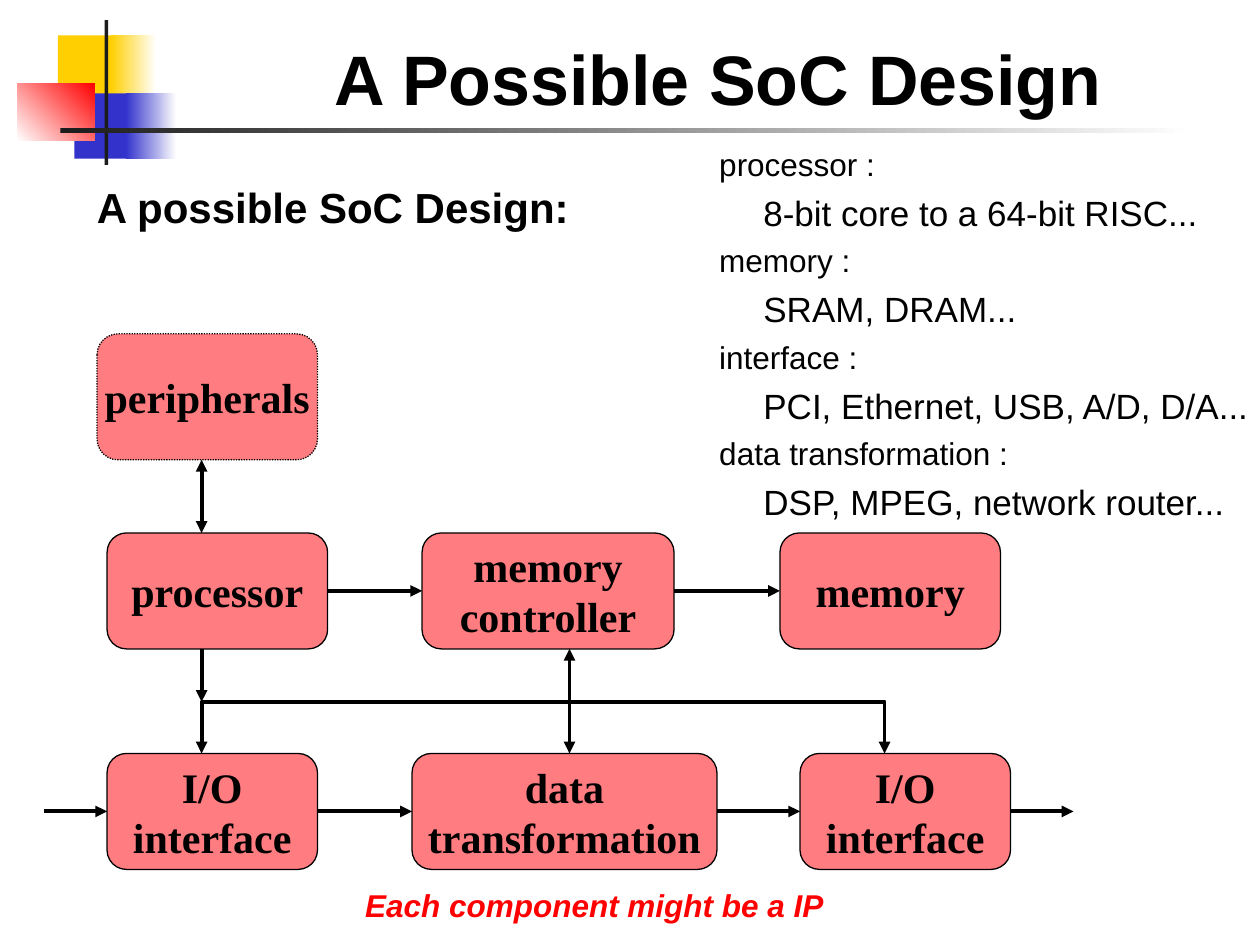
"""Build the slide that shows a possible SoC design as a block diagram."""
import pptx
import pptx.dml.color
import pptx.enum.dml
import pptx.enum.shapes
import pptx.enum.text
import pptx.oxml.ns
import pptx.util
from lxml import etree

Inches = pptx.util.Inches
Pt = pptx.util.Pt
SHAPE = pptx.enum.shapes.MSO_SHAPE
TOP, LEFT, BOTTOM, RIGHT = range(4)

COLORS = {
    "white": "FFFFFF",
    "black": "000000",
    "charcoal": "1C1C1C",
    "yellow": "FFCF01",
    "blue": "3333CC",
    "red": "FF0000",
    "block": "FF7C80",
}

DECOR = [
    ((0.46, 0.28, 0.48, 0.52), ("yellow",), 0),
    ((0.88, 0.28, 0.36, 0.52), ("yellow", "white"), 0),
    ((0.59, 0.74, 0.46, 0.52), ("blue",), 0),
    ((1, 0.74, 0.4, 0.52), ("blue", "white"), 0),
    ((0.14, 0.66, 0.61, 0.46), ("white", "red"), 45),
    ((0.83, 0.16, 0.03, 1.15), ("charcoal",), 0),
    ((0.48, 1.02, 9, 0.04), ("charcoal", "white"), 0),
]

CPU_TOP, IO_TOP, BLOCK_H = 4.23, 5.98, 0.92
BUS_Y = 5.57
IO_MID = IO_TOP + BLOCK_H / 2
BLOCKS = {
    "processor": ((0.85, CPU_TOP, 1.75, BLOCK_H), ["processor"]),
    "controller": ((3.35, CPU_TOP, 2, BLOCK_H), ["memory", "controller"]),
    "memory": ((6.19, CPU_TOP, 1.75, BLOCK_H), ["memory"]),
    "input": ((0.85, IO_TOP, 1.67, BLOCK_H), ["I/O", "interface"]),
    "data": ((3.27, IO_TOP, 2.42, BLOCK_H), ["data", "transformation"]),
    "output": ((6.35, IO_TOP, 1.67, BLOCK_H), ["I/O", "interface"]),
    "peripherals": ((0.77, 2.65, 1.75, 1), ["peripherals"]),
}
FLOWS = [("processor", "controller"), ("controller", "memory"),
         ("input", "data"), ("data", "output")]

COMPONENTS = [
    ("processor :", "8-bit core to a 64-bit RISC..."),
    ("memory :", "SRAM, DRAM..."),
    ("interface :", "PCI, Ethernet, USB, A/D, D/A..."),
    ("data transformation :", "DSP, MPEG, network router..."),
]


def rgb(name):
    """Return the named colour."""
    return pptx.dml.color.RGBColor.from_string(COLORS[name])


def add_run(p, text, size, font="Arial", color="black", bold=False, italic=False):
    """Append one formatted run to a paragraph."""
    r = p.add_run()
    r.text = text
    r.font.name = font
    r.font.size = Pt(size)
    r.font.bold = bold
    r.font.italic = italic
    r.font.color.rgb = rgb(color)


def add_decor(s, box, colors, angle):
    """Add a borderless rectangle with a plain or gradient fill."""
    sp = s.shapes.add_shape(SHAPE.RECTANGLE, *map(Inches, box))
    sp.shadow.inherit = False
    sp.line.fill.background()
    if len(colors) == 1:
        sp.fill.solid()
        sp.fill.fore_color.rgb = rgb(colors[0])
        return
    sp.fill.gradient()
    sp.fill.gradient_angle = angle
    for position, (stop, color) in enumerate(zip(sp.fill.gradient_stops, colors)):
        stop.position = position
        stop.color.rgb = rgb(color)


def add_label(s, box, text, size, **style):
    """Add a single-line text box."""
    tf = s.shapes.add_textbox(*map(Inches, box)).text_frame
    tf.word_wrap = False
    add_run(tf.paragraphs[0], text, size, **style)


def add_block(s, box, lines):
    """Add a rounded diagram block with centred lines of text."""
    sp = s.shapes.add_shape(SHAPE.ROUNDED_RECTANGLE, *map(Inches, box))
    sp.shadow.inherit = False
    sp.fill.solid()
    sp.fill.fore_color.rgb = rgb("block")
    sp.line.color.rgb = rgb("black")
    sp.line.width = Pt(0.75)
    tf = sp.text_frame
    tf.word_wrap = False
    tf.vertical_anchor = pptx.enum.text.MSO_ANCHOR.MIDDLE
    for i, line in enumerate(lines):
        p = tf.add_paragraph() if i else tf.paragraphs[0]
        p.alignment = pptx.enum.text.PP_ALIGN.CENTER
        add_run(p, line, 24, font="Times New Roman", bold=True)
    return sp


def style_arrow(sp, ends):
    """Give a line its colour, width and arrowheads."""
    sp.line.color.rgb = rgb("black")
    sp.line.width = Pt(2.25)
    ln = sp.line._get_or_add_ln()
    for end in ends:
        etree.SubElement(ln, pptx.oxml.ns.qn(f"a:{end}"), type="triangle")


def add_arrow(s, start, end, source=None, target=None, ends=("tailEnd",)):
    """Add a straight arrow, joined to the sides of blocks where given."""
    cxn = s.shapes.add_connector(
        pptx.enum.shapes.MSO_CONNECTOR.STRAIGHT, *map(Inches, start + end))
    if source:
        cxn.begin_connect(source, RIGHT)
    if target:
        cxn.end_connect(target, LEFT)
    style_arrow(cxn, ends)
    etree.SubElement(cxn._element.spPr, pptx.oxml.ns.qn("a:effectLst"))


def add_bus(s, left, right):
    """Add the bus line that drops to both I/O interfaces."""
    points = [(left, BUS_Y), (right, BUS_Y), (right, IO_TOP)]
    builder = s.shapes.build_freeform(Inches(left), Inches(IO_TOP))
    builder.add_line_segments(
        [(Inches(x), Inches(y)) for x, y in points], close=False)
    sp = builder.convert_to_shape()
    sp.shadow.inherit = False
    sp.fill.background()
    style_arrow(sp, ("headEnd", "tailEnd"))


def add_components(s, box):
    """Add the list of components with indented examples."""
    tf = s.shapes.add_textbox(*map(Inches, box)).text_frame
    tf.word_wrap = True
    tf.margin_right = 0
    rows = [row for name, examples in COMPONENTS
            for row in ((name, 18, 0), (examples, 20, 0.35))]
    for i, (text, size, indent) in enumerate(rows):
        p = tf.add_paragraph() if i else tf.paragraphs[0]
        p.space_before = Pt(size / 4)
        p._p.get_or_add_pPr().set("marL", str(Inches(indent)))
        add_run(p, text, size)


def main():
    """Build and save the slide."""
    prs = pptx.Presentation()
    prs.slide_width, prs.slide_height = Inches(10), Inches(7.5)
    s = prs.slides.add_slide(prs.slide_layouts[6])

    for box, colors, angle in DECOR:
        add_decor(s, box, colors, angle)
    add_label(s, (2.56, 0.23, 6.46, 0.77), "A Possible SoC Design", 40, bold=True)
    add_label(s, (0.67, 1.39, 3.96, 0.5), "A possible SoC Design:", 24, bold=True)

    blocks = {name: add_block(s, *block) for name, block in BLOCKS.items()}
    for source, target in FLOWS:
        add_arrow(s, (0, 0), (0, 0), blocks[source], blocks[target])
    add_arrow(s, (0.35, IO_MID), (0.85, IO_MID), target=blocks["input"])
    add_arrow(s, (8.02, IO_MID), (8.52, IO_MID), source=blocks["output"])

    add_arrow(s, (1.6, 3.65), (1.6, CPU_TOP), ends=("headEnd", "tailEnd"))
    add_bus(s, 1.6, 7.02)
    add_arrow(s, (1.6, CPU_TOP + BLOCK_H), (1.6, BUS_Y))
    for y in (CPU_TOP + BLOCK_H, IO_TOP):
        add_arrow(s, (4.52, BUS_Y), (4.52, y))
    blocks["peripherals"].line.dash_style = pptx.enum.dml.MSO_LINE.ROUND_DOT

    add_label(s, (2.8, 6.98, 3.91, 0.4), "Each component might be a IP", 18,
              color="red", bold=True, italic=True)
    add_components(s, (5.61, 1.1, 4.39, 3.2))
    prs.save("out.pptx")


if __name__ == "__main__":
    main()
